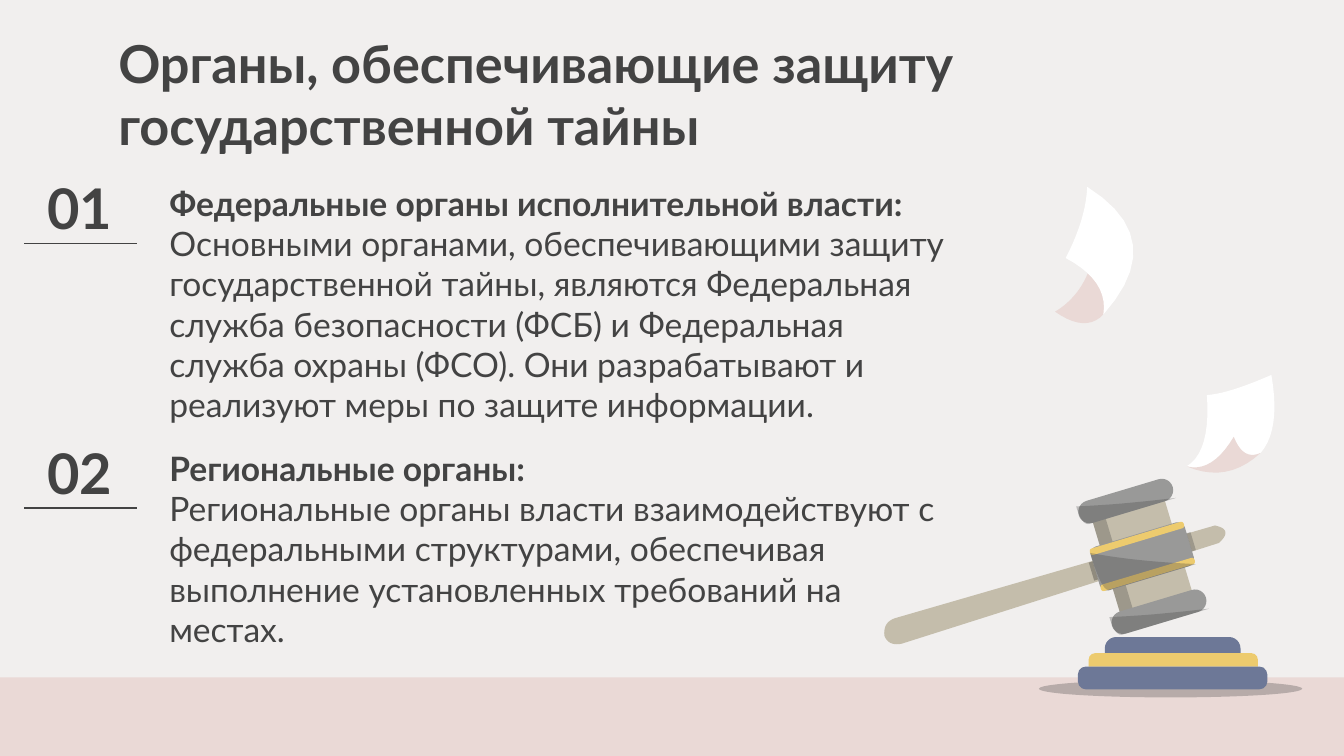
from dataclasses import dataclass
from math import cos, radians, sin

from lxml.etree import SubElement
from pptx import Presentation
from pptx.dml.color import RGBColor as Rgb
from pptx.enum.shapes import MSO_CONNECTOR as Link, MSO_SHAPE as Form
from pptx.enum.text import MSO_ANCHOR as Anchor, MSO_AUTO_SIZE as Fit, PP_ALIGN as Align
from pptx.oxml.ns import qn
from pptx.util import Inches, Pt

WIDE, HIGH = Inches(10), Inches(5.625)
CELL = WIDE // 10
STEPS = 10
TILT = -16.7
HUB = (8.5, 4.14)


@dataclass(frozen=True)
class Theme:
    """Colours, font and type sizes of the slide."""
    ground: str = "F1EFEE"
    rose: str = "EAD9D6"
    ink: str = "434343"
    dark: str = "191919"
    wood: str = "C4BDAB"
    steel: str = "999998"
    gold: str = "EDCB6E"
    blue: str = "6D7897"
    white: str = "FFFFFF"
    font: str = "Lato"
    head: int = 28
    mark: int = 30
    body: int = 18
    rule: float = 0.75


LOOK = Theme()

TITLE = "Органы, обеспечивающие защиту государственной тайны"
ITEMS = [
    (1.26, "01", "Федеральные органы исполнительной власти:\n"
     "Основными органами, обеспечивающими защиту государственной тайны, являются "
     "Федеральная служба безопасности (ФСБ) и Федеральная служба охраны (ФСО). "
     "Они разрабатывают и реализуют меры по защите информации."),
    (3.23, "02", "Региональные органы:\n"
     "Региональные органы власти взаимодействуют с федеральными структурами, "
     "обеспечивая выполнение установленных требований на местах."),
]

HANDLE = [(9.04, 3.91), (9.18, 3.94, 9.07, 4.04), (6.71, 4.79),
          (6.61, 4.81, 6.58, 4.73), (6.57, 4.63, 6.66, 4.6)]
SHADE = [(-0.5, -0.4), (-0.1, 0.05, 0.5, 0.5), (-0.42, 0.5), (-0.5, 0.5, -0.5, -0.4)]
SHEETS = [
    (LOOK.white, [(9.46, 2.79), (9.53, 3.2, 9.38, 3.37), (9.15, 3.55, 8.83, 3.47),
                  (9.01, 3.36, 8.98, 2.94), (9.14, 2.93, 9.46, 2.79)]),
    (LOOK.rose, [(9.18, 3.25), (9.25, 3.43, 9.38, 3.37), (9.13, 3.6, 8.83, 3.47),
                 (9.02, 3.52, 9.18, 3.25)]),
    (LOOK.rose, [(8.12, 1.96), (8.31, 2.16, 8.21, 2.34), (8.08, 2.48, 7.85, 2.32),
                 (8.05, 2.2, 8.12, 1.96)]),
    (LOOK.white, [(8.09, 1.39), (8.71, 1.78, 8.21, 2.34), (8.25, 2.09, 7.93, 1.92),
                  (8.08, 1.63, 8.09, 1.39)]),
]


def grid(*cells):
    """Turn grid cells into slide lengths."""
    return [round(cell * CELL) for cell in cells]


def paint(shape, tint, alpha=100):
    """Fill a shape flat, without outline or shadow."""
    shape.shadow.inherit = False
    shape.line.fill.background()
    shape.fill.solid()
    shape.fill.fore_color.rgb = Rgb.from_string(tint)
    if alpha < 100:
        hue = shape.element.spPr.find(".//" + qn("a:srgbClr"))
        SubElement(hue, qn("a:alpha"), val=str(alpha * 1000))


def add_form(slide, form, cells, tint, alpha=100, bend=None):
    """Add a painted preset shape."""
    shape = slide.shapes.add_shape(form, *grid(*cells))
    paint(shape, tint, alpha)
    if bend is not None:
        shape.adjustments[0] = bend
    return shape


def trace(path):
    """List the points of a path of lines and quadratic curves."""
    dots = [path[0]]
    for leg in path[1:]:
        start, bend, end = dots[-1], leg[:2], leg[-2:]
        if len(leg) == 2:
            dots.append(end)
            continue
        for step in range(1, STEPS + 1):
            t = step / STEPS
            dots.append(tuple((1 - t) ** 2 * a + 2 * t * (1 - t) * b + t * t * c
                              for a, b, c in zip(start, bend, end)))
    return dots


def add_path(slide, dots, tint, alpha=100):
    """Add a painted closed outline."""
    first, *rest = [grid(*dot) for dot in dots]
    pen = slide.shapes.build_freeform(*first)
    pen.add_line_segments(rest, close=True)
    paint(pen.convert_to_shape(), tint, alpha)


def tilt(along, across):
    """Turn a place on the gavel into a place on the slide."""
    turn = radians(TILT)
    return (HUB[0] + along * cos(turn) - across * sin(turn),
            HUB[1] + along * sin(turn) + across * cos(turn))


def add_bar(slide, place, size, tint, alpha=100, bend=0):
    """Add a tilted bar of the gavel around its middle."""
    (x, y), (w, h) = tilt(*place), size
    form = Form.ROUNDED_RECTANGLE if bend else Form.RECTANGLE
    bar = add_form(slide, form, (x - w / 2, y - h / 2, w, h), tint, alpha, bend or None)
    bar.rotation = TILT


def add_shade(slide, across, size):
    """Darken the lower part of a tilted bar."""
    dots = [tilt(u * size[0], across + v * size[1]) for u, v in trace(SHADE)]
    add_path(slide, dots, LOOK.ink, 30)


def add_gavel(slide):
    """Add the gavel: handle, neck, heads and collar."""
    pill, collar = (0.73, 0.17), (0.73, 0.34)
    ends = (-0.43, 0.43)
    add_path(slide, trace(HANDLE), LOOK.wood)
    add_bar(slide, (0, 0), (0.56, 0.94), LOOK.wood)
    add_bar(slide, (-0.23, 0), (0.1, 0.94), LOOK.ink, 30)
    for end in ends:
        add_bar(slide, (0, end), pill, LOOK.steel, bend=0.5)
    add_bar(slide, (0, 0), collar, LOOK.steel, bend=0.15)
    for side in (0.14, -0.14):
        add_bar(slide, (0, side), (0.73, 0.05), LOOK.gold, bend=0.4)
    add_shade(slide, 0, collar)
    for end in ends:
        add_shade(slide, end, pill)
    for side, tint in ((0.38, LOOK.ink), (-0.38, LOOK.dark)):
        add_bar(slide, (side, 0), (0.03, 0.14), tint, 30)


def add_stand(slide):
    """Add the three steps under the gavel."""
    cap = Form.ROUND_2_SAME_RECTANGLE
    add_form(slide, cap, (8.22, 4.74, 1.01, 0.17), LOOK.blue, bend=0.5)
    add_form(slide, cap, (8.1, 4.86, 1.26, 0.1), LOOK.gold, bend=0.5)
    add_form(slide, Form.ROUNDED_RECTANGLE, (8.02, 4.96, 1.41, 0.17), LOOK.blue, bend=0.35)


def set_text(shape, cells, text, size, anchor=Anchor.TOP, align=Align.LEFT):
    """Place a text shape and format it, with a bold first paragraph."""
    shape.left, shape.top, shape.width, shape.height = grid(*cells)
    frame = shape.text_frame
    frame.text = text
    frame.word_wrap, frame.auto_size, frame.vertical_anchor = True, Fit.NONE, anchor
    frame.margin_left = frame.margin_right = frame.margin_top = frame.margin_bottom = Inches(0.1)
    for rank, para in enumerate(frame.paragraphs):
        para.alignment, para.space_before, para.line_spacing = align, Pt(0), 1.0
        props = para._p.get_or_add_pPr()
        props.set("marL", "0")
        props.set("indent", "0")
        SubElement(props, qn("a:buNone"))
        for run in para.runs:
            run.font.name, run.font.size, run.font.bold = LOOK.font, Pt(size), rank == 0
            run.font.color.rgb = Rgb.from_string(LOOK.ink)


def add_rule(slide, left, top, width):
    """Add a thin level line."""
    line = slide.shapes.add_connector(Link.STRAIGHT, *grid(left, top, left + width, top))
    line.line.width = Pt(LOOK.rule)
    line.line.color.rgb = Rgb.from_string(LOOK.ink)
    SubElement(line.element.spPr, qn("a:effectLst"))


def add_item(slide, body, top, mark, text):
    """Add a numbered item with its rule."""
    set_text(body, (1.16, top, 6.01, 0.38), text, LOOK.body)
    box = slide.shapes.add_textbox(0, 0, 0, 0)
    set_text(box, (0.19, top + 0.05, 0.81, 0.46), mark, LOOK.mark, Anchor.MIDDLE, Align.CENTER)
    add_rule(slide, 0.18, top + 0.55, 0.84)


def main():
    """Build and save the slide."""
    deck = Presentation()
    deck.slide_width, deck.slide_height = WIDE, HIGH
    slide = deck.slides.add_slide(deck.slide_layouts[3])
    slide.background.fill.solid()
    slide.background.fill.fore_color.rgb = Rgb.from_string(LOOK.ground)
    add_form(slide, Form.RECTANGLE, (0, 5.04, 10, HIGH / CELL - 5.04), LOOK.rose)
    title, *bodies = slide.placeholders
    set_text(title, (0.78, 0.13, 7.35, 0.63), TITLE, LOOK.head)
    for body, item in zip(bodies, ITEMS):
        add_item(slide, body, *item)
    add_form(slide, Form.OVAL, (7.73, 5.06, 1.96, 0.13), LOOK.ink, 30)
    add_gavel(slide)
    add_stand(slide)
    for tint, path in SHEETS:
        add_path(slide, trace(path), tint)
    deck.save("out.pptx")


if __name__ == "__main__":
    main()
